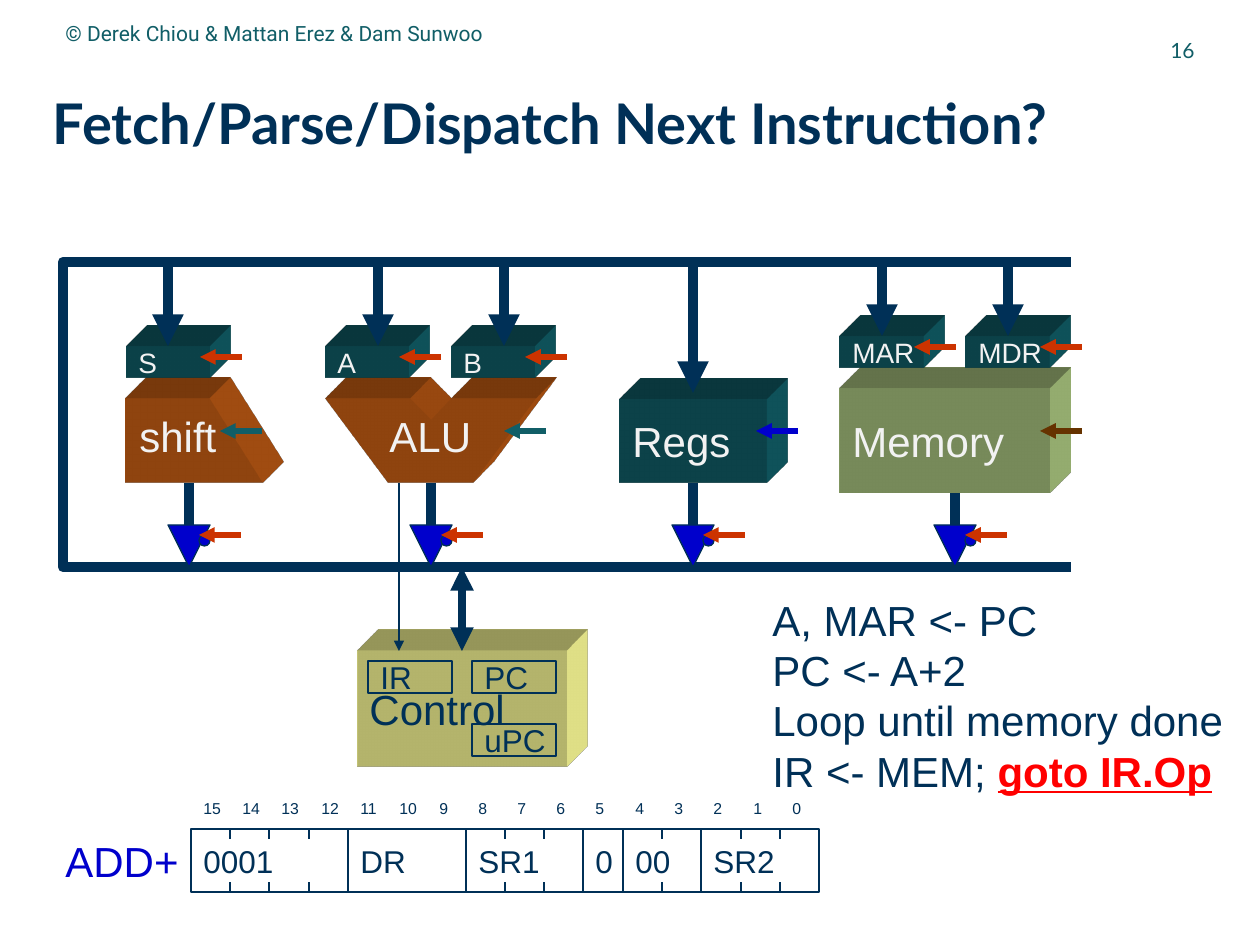
from lxml.etree import SubElement
from pptx import Presentation
from pptx.dml.color import RGBColor
from pptx.enum.shapes import MSO_CONNECTOR, MSO_SHAPE
from pptx.enum.text import MSO_ANCHOR, PP_ALIGN
from pptx.oxml import parse_xml
from pptx.oxml.ns import nsdecls, qn
from pptx.util import Pt

PX = 914400 / 126
NAVY, TEAL, PALE = "003057", "115E67", "F2F2F2"
RUST, RED, BLUE = "CB6015", "CC3300", "0000CC"


def px(*vals):
    return [round(v * PX) for v in vals]


def rgb(code):
    return RGBColor.from_string(code)


def style(para, size, color, font="Arial"):
    para.font.size, para.font.name = Pt(size), font
    para.font.color.rgb = rgb(color)


def write(shape, text, size, color, font="Arial", align=PP_ALIGN.LEFT):
    frame = shape.text_frame
    frame.word_wrap = False
    frame.vertical_anchor = MSO_ANCHOR.MIDDLE
    frame.text = text
    frame.paragraphs[0].alignment = align
    style(frame.paragraphs[0], size, color, font)


def label(slide, box, text, size, color, font="Arial", align=PP_ALIGN.LEFT):
    shape = slide.shapes.add_textbox(*px(*box))
    write(shape, text, size, color, font, align)
    return shape


def paint(shape, fill=None, line=None, width=0.75):
    shape.shadow.inherit = False
    if fill:
        shape.fill.solid()
        shape.fill.fore_color.rgb = rgb(fill)
    else:
        shape.fill.background()
    if line:
        shape.line.color.rgb = rgb(line)
        shape.line.width = Pt(width)
    else:
        shape.line.fill.background()


def extrude(shape, color):
    """Give the shape depth up and to the right."""
    props = shape.element.spPr
    props.append(parse_xml(
        f'<a:scene3d {nsdecls("a")}><a:camera prst="legacyObliqueTopRight"/>'
        '<a:lightRig rig="legacyFlat3" dir="b"/></a:scene3d>'))
    props.append(parse_xml(
        f'<a:sp3d {nsdecls("a")} extrusionH="430200" prstMaterial="legacyMatte">'
        '<a:bevelT w="13500" h="13500" prst="angle"/>'
        '<a:bevelB w="13500" h="13500" prst="angle"/>'
        f'<a:extrusionClr><a:srgbClr val="{color}"/></a:extrusionClr></a:sp3d>'))


def block(slide, box, text, size, fill, color=PALE):
    shape = slide.shapes.add_shape(MSO_SHAPE.RECTANGLE, *px(*box))
    paint(shape, fill)
    extrude(shape, fill)
    write(shape, text, size, color)


def field(slide, box, text):
    shape = slide.shapes.add_shape(MSO_SHAPE.RECTANGLE, *px(*box))
    paint(shape, line=NAVY)
    write(shape, text, 18, NAVY)


def outline(slide, points, closed=True):
    pen = slide.shapes.build_freeform(*points[0], scale=PX)
    pen.add_line_segments(points[1:], close=closed)
    return pen.convert_to_shape()


def solid(slide, points):
    shape = outline(slide, points)
    paint(shape, RUST)
    extrude(shape, RUST)


def wire(slide, x1, y1, x2, y2, color=NAVY, width=0.75, ends=("tailEnd",)):
    line = slide.shapes.add_connector(MSO_CONNECTOR.STRAIGHT, *px(x1, y1, x2, y2))
    line.line.color.rgb = rgb(color)
    line.line.width = Pt(width)
    for end in ends:
        SubElement(line.line._get_or_add_ln(), qn("a:" + end), type="triangle")
    SubElement(line.element.spPr, qn("a:effectLst"))


def signal(slide, x, y, color=RED):
    wire(slide, x + 42, y, x, y, color, 3)


def latch(slide, x, y, top, text, drop):
    block(slide, (x, y, 84, 32), text, 16, TEAL)
    wire(slide, x + drop, top, x + drop, y, width=6)
    signal(slide, x + 74, y + 11)


def driver(slide, x, y, base):
    """Output wire with its tri-state gate."""
    wire(slide, x, y, x, base, width=6)
    gate = slide.shapes.add_shape(MSO_SHAPE.ISOSCELES_TRIANGLE,
                                  *px(x - 21, base - 42, 42, 42))
    gate.element.spPr.xfrm.set("flipV", "1")
    dot = slide.shapes.add_shape(MSO_SHAPE.OVAL, *px(x + 10, base - 32, 11, 11))
    for shape in (gate, dot):
        paint(shape, BLUE, NAVY)
    signal(slide, x + 10, base - 32)


def header(slide, x, y, w):
    label(slide, (x, y + 4, 714, 58), "© Derek Chiou & Mattan Erez & Dam Sunwoo",
          12, TEAL, "Roboto")
    label(slide, (x + w - 284, y - 3, 284, 107), "16", 12, TEAL, "Lato",
          PP_ALIGN.RIGHT)
    title = slide.shapes.title
    title.left, title.top, title.width, title.height = px(x, y + 63, 1186, 123)
    write(title, "Fetch/Parse/Dispatch Next Instruction?", 32, NAVY, "Lato")
    frame = title.text_frame
    frame.word_wrap = True
    frame.margin_left = frame.margin_right = 0
    frame.margin_top = frame.margin_bottom = 0
    frame.paragraphs[0].font.bold = True
    frame.paragraphs[0].line_spacing = 0.99


def datapath(slide, x, y, w, h):
    base, floor = y + h, y + 221
    bus = outline(slide, [(x + w, y), (x, y), (x, base), (x + w, base)], False)
    paint(bus, line=NAVY, width=6)
    SubElement(bus.line._get_or_add_ln(), qn("a:round"))

    block(slide, (x + 557, y + 137, 147, 84), "Regs", 24, TEAL)
    block(slide, (x + 777, y + 126, 210, 105), "Memory", 24, "A9C47F")
    shift = [(63, 137), (63, 221), (200, 221), (147, 137)]
    alu = [(368, 158), (347, 137), (262, 137), (325, 221), (410, 221),
           (473, 137), (388, 137)]
    for points in (shift, alu):
        solid(slide, [(x + dx, y + dy) for dx, dy in points])
    label(slide, (x + 64, y + 142, 102, 63), "shift", 24, PALE)
    label(slide, (x + 314, y + 142, 107, 63), "ALU", 24, PALE)

    for dx, dy, text, drop in ((63, 84, "S", 42), (262, 84, "A", 53),
                               (388, 84, "B", 53), (777, 74, "MAR", 42),
                               (903, 74, "MDR", 42)):
        latch(slide, x + dx, y + dy, y, text, drop)
    wire(slide, x + 630, y, x + 630, y + 131, width=6)
    for dx, start in ((126, floor), (368, floor), (630, floor), (892, floor + 10)):
        driver(slide, x + dx, start, base)
    for dx, color in ((157, TEAL), (441, TEAL), (693, BLUE), (977, "663300")):
        signal(slide, x + dx, y + 169, color)


def control(slide, x, y, w, h):
    block(slide, (x, y, w, h), "Control", 24, "FFFF99", NAVY)
    wire(slide, x + 42, y - 168, x + 42, y)
    wire(slide, x + 105, y, x + 105, y - 84, width=4.5, ends=("headEnd", "tailEnd"))
    for dx, dy, text in ((11, 10, "IR"), (115, 10, "PC"), (115, 73, "uPC")):
        field(slide, (x + dx, y + dy, 84, 32), text)


def encoding(slide, x, y, w, h):
    """Instruction word with its bit numbers."""
    def edge(bit):
        return x + round(bit * w / 16)

    label(slide, (x - 160, y, 160, h), "ADD+", 24, BLUE, align=PP_ALIGN.RIGHT)
    bit = 0
    for text, size, ticks in (("0001", 4, True), ("DR", 3, False), ("SR1", 3, True),
                              ("0", 1, True), ("00", 2, True), ("SR2", 3, True)):
        field(slide, (edge(bit), y, edge(bit + size) - edge(bit), h), text)
        for mark in range(bit + 1, bit + size) if ticks else ():
            for top in (y, y + h - 10):
                wire(slide, edge(mark), top, edge(mark), top + 10, ends=())
        bit += size
    for bit in range(16):
        number = label(slide, (edge(bit), y - 42, 39, 42), str(15 - bit), 9, NAVY)
        number.text_frame.margin_right = 0


def steps(slide, x, y, w, h):
    frame = slide.shapes.add_textbox(*px(x, y, w, h)).text_frame
    frame.word_wrap = False
    lines = ("A, MAR <- PC", "PC <- A+2", "Loop until memory done", "IR <- MEM; ")
    frame.text = "\n".join(lines)
    for para in frame.paragraphs:
        style(para, 24, NAVY)
    jump = para.add_run()
    jump.text = "goto IR.Op"
    jump.font.bold = jump.font.underline = True
    jump.font.color.rgb = rgb("FF0000")


def main():
    deck = Presentation()
    deck.slide_width, deck.slide_height = px(1260, 945)
    slide = deck.slides.add_slide(deck.slide_layouts[5])
    header(slide, 53, 0, 1154)
    datapath(slide, 63, 262, 1008, 305)
    control(slide, 357, 651, 210, 116)
    encoding(slide, 191, 829, 628, 63)
    steps(slide, 760, 588, 500, 267)
    deck.save("out.pptx")


if __name__ == "__main__":
    main()
